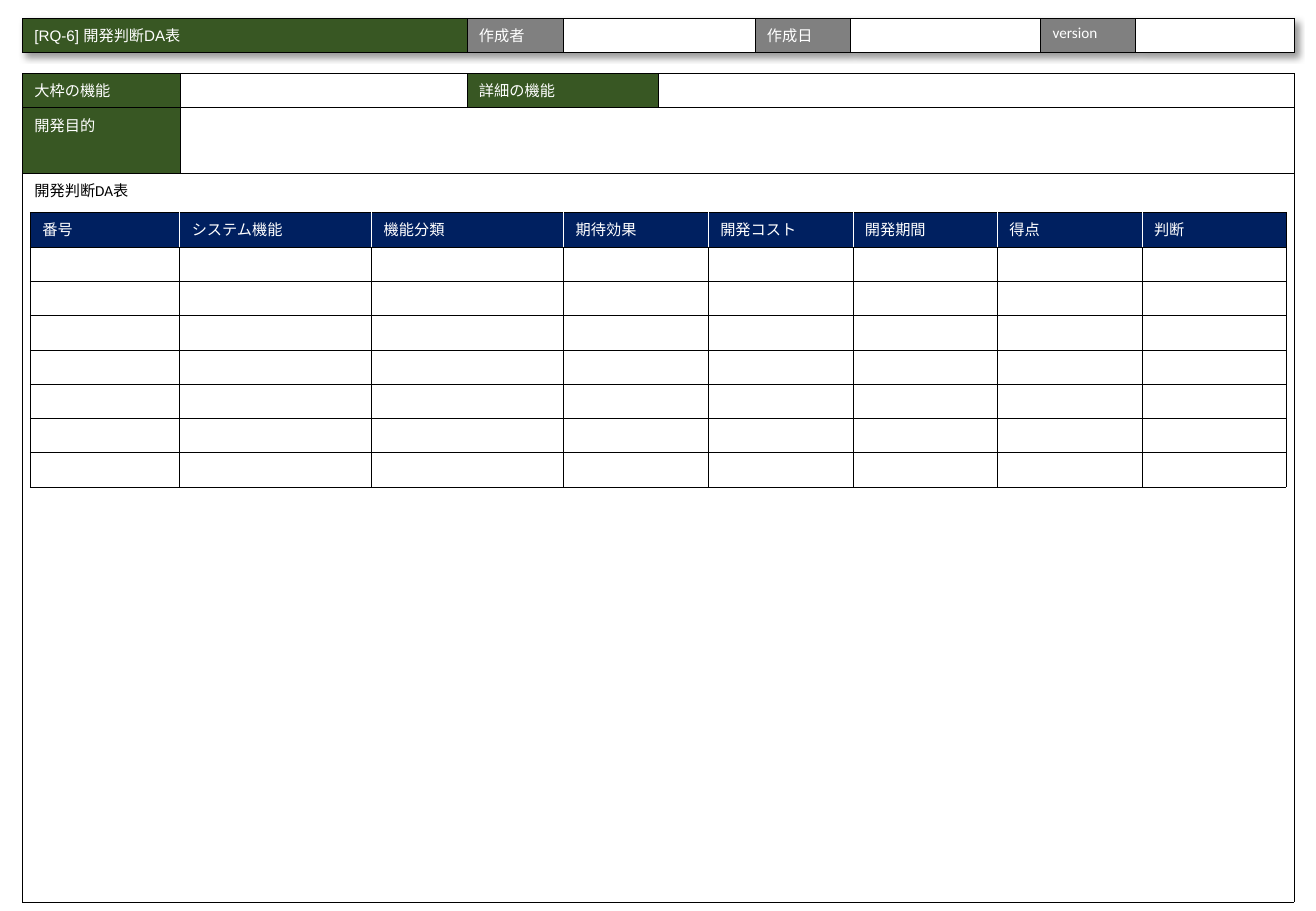
"""Build the development decision form slide."""
from lxml import etree
from pptx import Presentation, util as u
from pptx.dml.color import RGBColor
from pptx.oxml import ns

GREEN, GREY, NAVY, WHITE, BLACK = "385723", "808080", "002060", "FFFFFF", "000000"
ROW = 20.3
SIZE = 9


def color(value):
    """Turn a hex string into a colour."""
    return RGBColor.from_string(value)


def add_element(parent, tag, **attributes):
    """Append a DrawingML element with the given attributes."""
    return etree.SubElement(parent, ns.qn(tag), attributes)


def set_borders(cell, left=BLACK, right=BLACK):
    """Draw thin borders, black at the top and bottom."""
    properties = cell._tc.get_or_add_tcPr()
    sides = (("a:lnL", left), ("a:lnR", right), ("a:lnT", BLACK), ("a:lnB", BLACK))
    for position, (tag, value) in enumerate(sides):
        line = add_element(properties, tag, w=str(u.Pt(0.25)))
        add_element(add_element(line, "a:solidFill"), "a:srgbClr", val=value)
        properties.insert(position, line)


def fill_cell(cell, content="", fill=WHITE, font="Calibri", ink=WHITE):
    """Fill a cell and write its label."""
    cell.fill.solid()
    cell.fill.fore_color.rgb = color(fill)
    paragraph = cell.text_frame.paragraphs[0]
    if not content:
        add_element(paragraph._p, "a:endParaRPr", lang="ja-JP", sz=str(SIZE * 100))
        return
    run = paragraph.add_run()
    run.text = content
    run.font.size = u.Pt(SIZE)
    run.font.name = font
    run.font.color.rgb = color(ink)
    add_element(run._r.get_or_add_rPr(), "a:ea", typeface="Noto Sans CJK JP")


def add_grid(slide, box, columns, rows):
    """Add a plain bordered table whose last column takes the remaining width."""
    left, top, width = box
    widths = [*columns, width - sum(columns)]
    frame = slide.shapes.add_table(
        len(rows), len(widths), u.Pt(left), u.Pt(top), u.Pt(width), u.Pt(sum(rows)))
    table = frame.table
    table.first_row = table.horz_banding = False
    for column, size in zip(table.columns, widths):
        column.width = u.Pt(size)
    for row, size in zip(table.rows, rows):
        row.height = u.Pt(size)
    for cell in table.iter_cells():
        set_borders(cell)
    return table


def add_shadow(table):
    """Cast a soft shadow to the lower right of a table."""
    properties = table._tbl.tblPr
    effects = add_element(properties, "a:effectLst")
    shadow = add_element(effects, "a:outerShdw", blurRad=str(u.Pt(4)), dist=str(u.Pt(3)),
                         dir="2700000", algn="tl", rotWithShape="0")
    add_element(add_element(shadow, "a:prstClr", val="black"), "a:alpha", val="40000")
    properties.insert(0, effects)


def add_title_bar(slide, box):
    """Add the title with author, date and version fields."""
    table = add_grid(slide, box, [263.5, 56.9, 113.8, 56.4, 113, 56.2], [ROW])
    add_shadow(table)
    fill_cell(table.cell(0, 0), "[RQ-6] 開発判断DA表", GREEN, "Arial")
    for index, label in enumerate(("作成者", "作成日", "version")):
        fill_cell(table.cell(0, 2 * index + 1), label, GREY)
        fill_cell(table.cell(0, 2 * index + 2))


def add_form(slide, box):
    """Add the function and purpose fields above the large body area."""
    table = add_grid(slide, box, [93.6, 169.9, 113.2], [ROW, 39, 432])
    table.cell(1, 1).merge(table.cell(1, 3))
    table.cell(2, 0).merge(table.cell(2, 3))
    labels = {(0, 0): "大枠の機能", (0, 2): "詳細の機能", (1, 0): "開発目的"}
    for row in range(2):
        for column in range(4):
            label = labels.get((row, column), "")
            fill_cell(table.cell(row, column), label, GREEN if label else WHITE)
    fill_cell(table.cell(2, 0), "開発判断DA表", ink=BLACK)


def add_decision_table(slide, box):
    """Add the decision table with empty rows to fill in."""
    headings = ("番号", "システム機能", "機能分類", "期待効果",
                "開発コスト", "開発期間", "得点", "判断")
    table = add_grid(slide, box, [88.6, 113.8, 113.8] + [85.7] * 4, [20.7] + [ROW] * 7)
    last = len(headings) - 1
    for column, heading in enumerate(headings):
        cell = table.cell(0, column)
        properties = cell._tc.get_or_add_tcPr()
        for line in list(properties):
            properties.remove(line)
        set_borders(cell, WHITE if column else BLACK, WHITE if column < last else BLACK)
        fill_cell(cell, heading, NAVY, "Noto Sans CJK JP")
        for row in range(1, len(table.rows)):
            fill_cell(table.cell(row, column))


def main():
    """Create and save the presentation."""
    presentation = Presentation()
    presentation.slide_width, presentation.slide_height = u.Pt(780), u.Pt(540)
    slide = presentation.slides.add_slide(presentation.slide_layouts[6])
    add_title_bar(slide, (13.2, 10.8, 753.8))
    add_form(slide, (13.2, 43.4, 753.8))
    add_decision_table(slide, (17.9, 125.8, 744.5))
    presentation.save("out.pptx")


if __name__ == "__main__":
    main()
